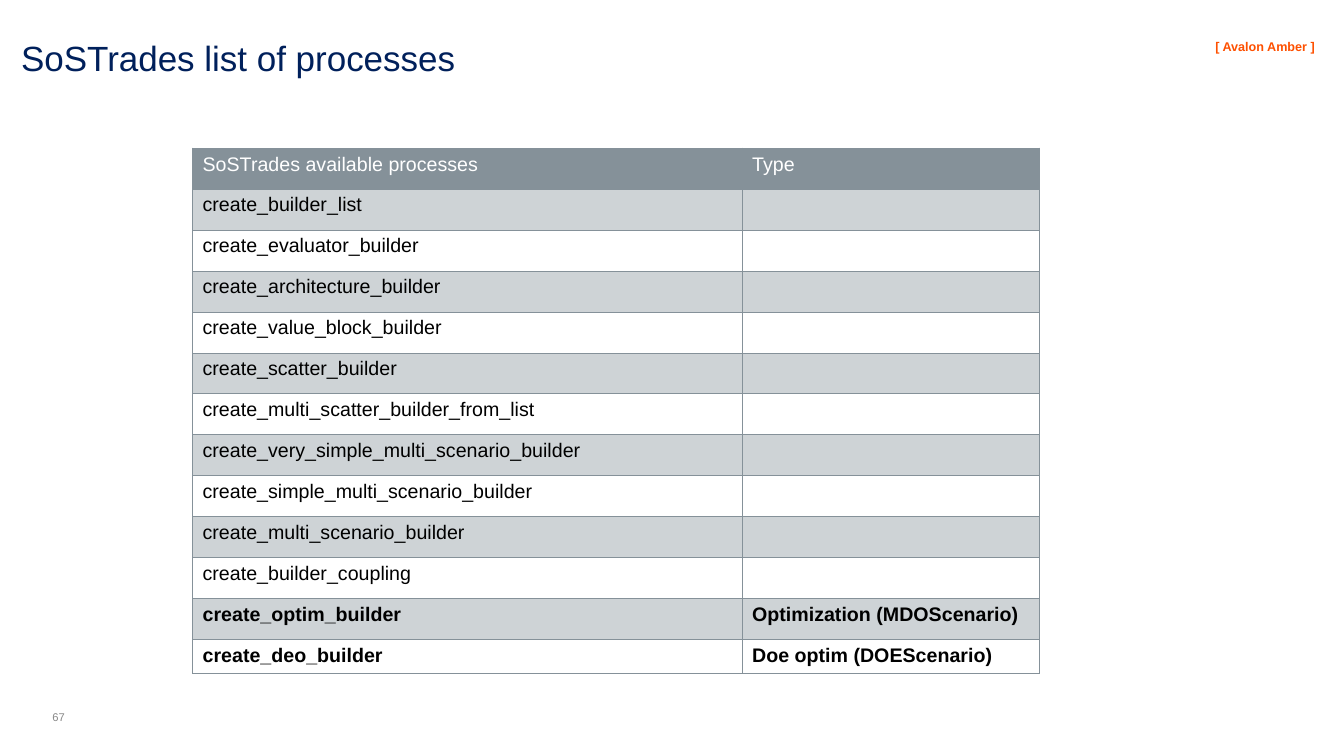
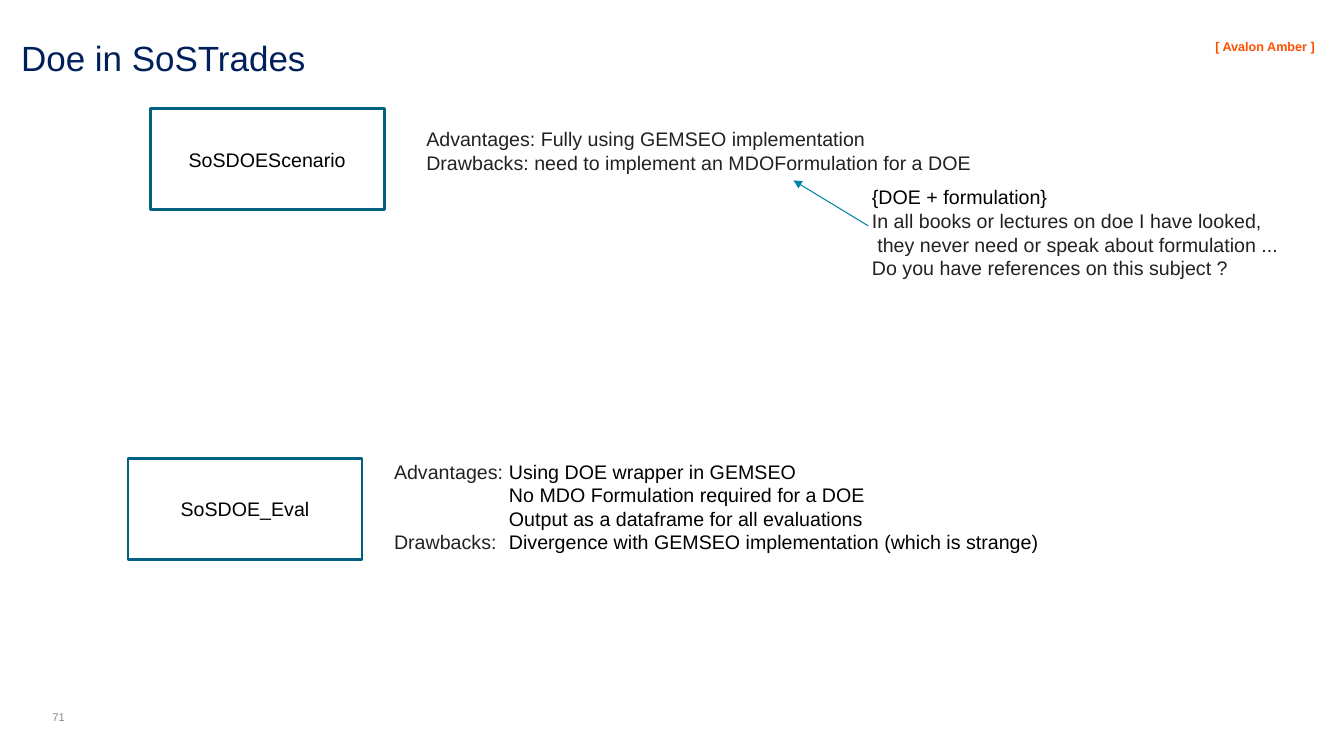
from lxml import etree
from pptx import Presentation
from pptx import util as u
from pptx.dml.color import RGBColor
from pptx.enum import shapes, text
from pptx.oxml import ns

COLORS = {
    "navy": "00205B", "orange": "FE5000", "grey": "888888", "ink": "222222",
    "black": "000000", "white": "FFFFFF", "slate": "859199", "band": "CED3D6",
    "teal": "006280", "arrow": "0082A9",
}
FONT = "Arial"


def style(font, size, color, bold=False):
    font.name, font.size, font.bold = FONT, u.Pt(size), bold
    font.color.rgb = RGBColor.from_string(COLORS[color])


def add_text(page, at, lines, size, bold=False, inset=True, spacing=None, align=None, tab=None):
    """Each line is a list of (wording, colour) spans."""
    frame = page.shapes.add_textbox(*map(u.Inches, at)).text_frame
    frame.word_wrap = True
    if not inset:
        frame.margin_left = frame.margin_right = frame.margin_top = frame.margin_bottom = 0
    for number, spans in enumerate(lines):
        para = frame.paragraphs[0] if number == 0 else frame.add_paragraph()
        para.alignment = align
        if spacing:
            para.line_spacing = spacing
        if tab:
            stops = etree.SubElement(para._p.get_or_add_pPr(), ns.qn("a:tabLst"))
            etree.SubElement(stops, ns.qn("a:tab"), pos=str(u.Inches(tab)), algn="l")
        style(para.font, size, spans[0][1], bold)
        for wording, color in spans:
            span = para.add_run()
            span.text = wording
            if color != spans[0][1]:
                style(span.font, size, color, bold)


deck = Presentation()
deck.slide_width, deck.slide_height = u.Inches(13.33), u.Inches(7.5)

# Shared title, marking and page number
pages = []
for title, number in [("SoSTrades list of processes", "67"), ("Doe in SoSTrades", "71")]:
    page = deck.slides.add_slide(deck.slide_layouts[6])
    add_text(page, (12.03, 0.37, 1.01, 0.16), [[("[ Avalon Amber ]", "orange")]], 9,
             bold=True, inset=False, spacing=1.13, align=text.PP_ALIGN.RIGHT)
    add_text(page, (0.21, 0.32, 11.5, 0.98), [[(title, "navy")]], 25, inset=False, spacing=1.1)
    add_text(page, (0.52, 7.05, 0.31, 0.24), [[(number, "grey")]], 8, inset=False)
    pages.append(page)
process_page, doe_page = pages

# Table of processes
rows = [
    ("SoSTrades available processes", "Type"),
    ("create_builder_list", ""),
    ("create_evaluator_builder", ""),
    ("create_architecture_builder", ""),
    ("create_value_block_builder", ""),
    ("create_scatter_builder", ""),
    ("create_multi_scatter_builder_from_list", ""),
    ("create_very_simple_multi_scenario_builder", ""),
    ("create_simple_multi_scenario_builder", ""),
    ("create_multi_scenario_builder", ""),
    ("create_builder_coupling", ""),
    ("create_optim_builder", "Optimization (MDOScenario)"),
    ("create_deo_builder", "Doe optim (DOEScenario)"),
]
table = process_page.shapes.add_table(
    len(rows), 2, u.Inches(1.91), u.Inches(1.47), u.Inches(8.4), u.Inches(5.2)).table
table.columns[0].width, table.columns[1].width = u.Inches(5.45), u.Inches(2.95)
for index, row in enumerate(rows):
    is_last = index == len(rows) - 1
    table.rows[index].height = u.Inches(0.32) if is_last else u.Emu(u.Inches(4.88) // 12)
    fill = "slate" if index == 0 else "band" if index % 2 else "white"
    for column, wording in enumerate(row):
        cell = table.cell(index, column)
        para = cell.text_frame.paragraphs[0]
        style(para.font, 14, "white" if index == 0 else "black", bold=bool(index and row[1]))
        if wording:
            para.add_run().text = wording
        properties = cell._tc.get_or_add_tcPr()
        for side in ("a:lnL", "a:lnR", "a:lnT", "a:lnB"):
            border = etree.SubElement(properties, ns.qn(side), w=str(u.Pt(0.75)))
            solid = etree.SubElement(border, ns.qn("a:solidFill"))
            etree.SubElement(solid, ns.qn("a:srgbClr"), val=COLORS["slate"])
        cell.fill.solid()
        cell.fill.fore_color.rgb = RGBColor.from_string(COLORS[fill])

# Boxes naming the two approaches
for left, top, name in [(1.49, 1.08, "SoSDOEScenario"), (1.27, 4.55, "SoSDOE_Eval")]:
    box = doe_page.shapes.add_shape(
        shapes.MSO_SHAPE.RECTANGLE, u.Inches(left), u.Inches(top), u.Inches(2.32), u.Inches(1))
    box.shadow.inherit = False
    box.fill.solid()
    box.fill.fore_color.rgb = RGBColor.from_string(COLORS["white"])
    box.line.color.rgb = RGBColor.from_string(COLORS["teal"])
    box.line.width = u.Pt(2)
    box.text_frame.vertical_anchor = text.MSO_ANCHOR.MIDDLE
    para = box.text_frame.paragraphs[0]
    para.alignment = text.PP_ALIGN.CENTER
    style(para.font, 14, "black")
    para.add_run().text = name

# Advantages, drawbacks and the question on formulation
add_text(doe_page, (4.13, 1.21, 6.67, 0.57), [
    [("Advantages: Fully using GEMSEO implementation", "ink")],
    [("Drawbacks: need to implement an MDOFormulation for a DOE", "ink")],
], 14)
add_text(doe_page, (3.81, 4.51, 7.3, 1.04), [
    [("Advantages:\t", "ink"), ("Using DOE wrapper in GEMSEO", "black")],
    [("\tNo MDO Formulation required for a DOE", "black")],
    [("\tOutput as a dataframe for all evaluations", "black")],
    [("Drawbacks:\t", "ink"),
     ("Divergence with GEMSEO implementation (which is strange)", "black")],
], 14, tab=1.14)
add_text(doe_page, (8.55, 1.79, 4.5, 1.04), [
    [("{DOE + formulation}", "black")],
    [("In all books or lectures on doe I have looked,", "ink")],
    [(" they never need or speak about formulation ...", "ink")],
    [("Do you have references on this subject ?", "ink")],
], 14)

# Arrow from the question to the drawback
arrow = doe_page.shapes.add_connector(
    shapes.MSO_CONNECTOR.STRAIGHT, u.Inches(8.61), u.Inches(2.24), u.Inches(7.87), u.Inches(1.79))
arrow.line.color.rgb = RGBColor.from_string(COLORS["arrow"])
arrow.line.width = u.Pt(0.75)
etree.SubElement(arrow.line._get_or_add_ln(), ns.qn("a:tailEnd"), type="triangle")
etree.SubElement(arrow._element.spPr, ns.qn("a:effectLst"))

deck.save("out.pptx")
